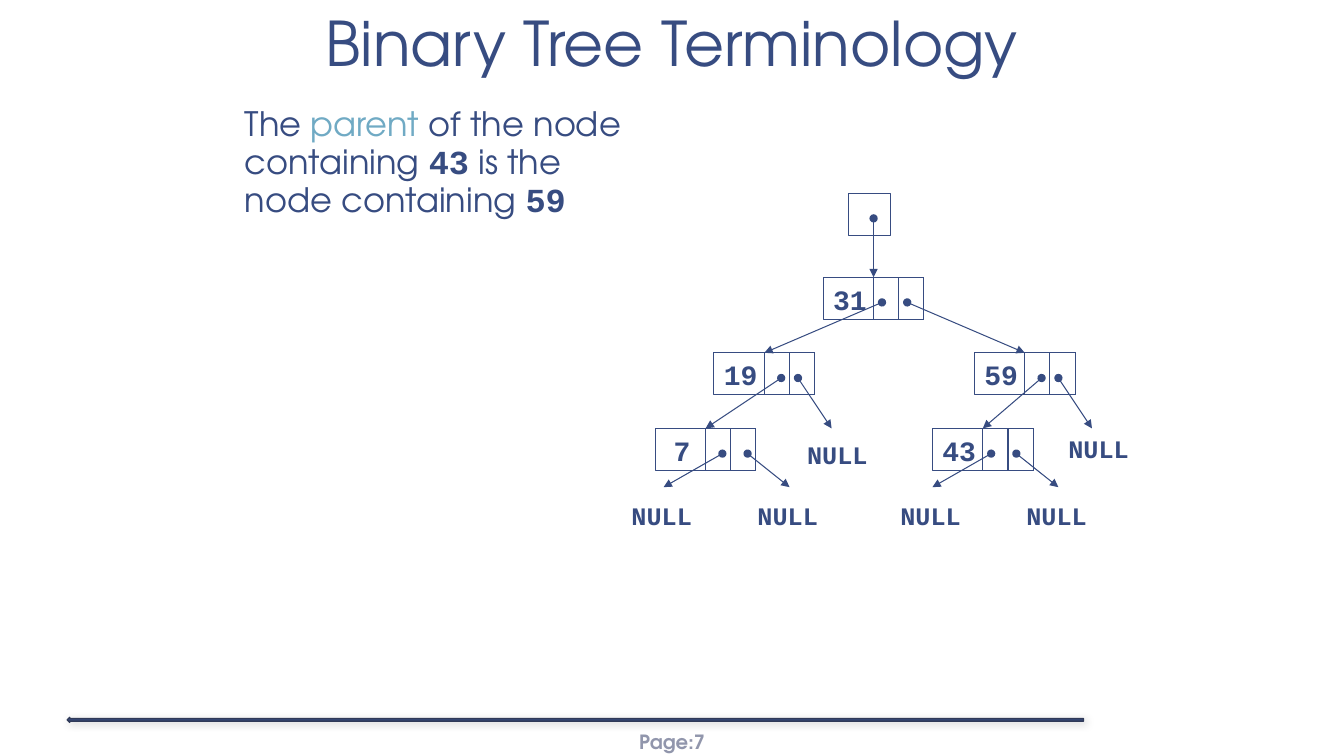
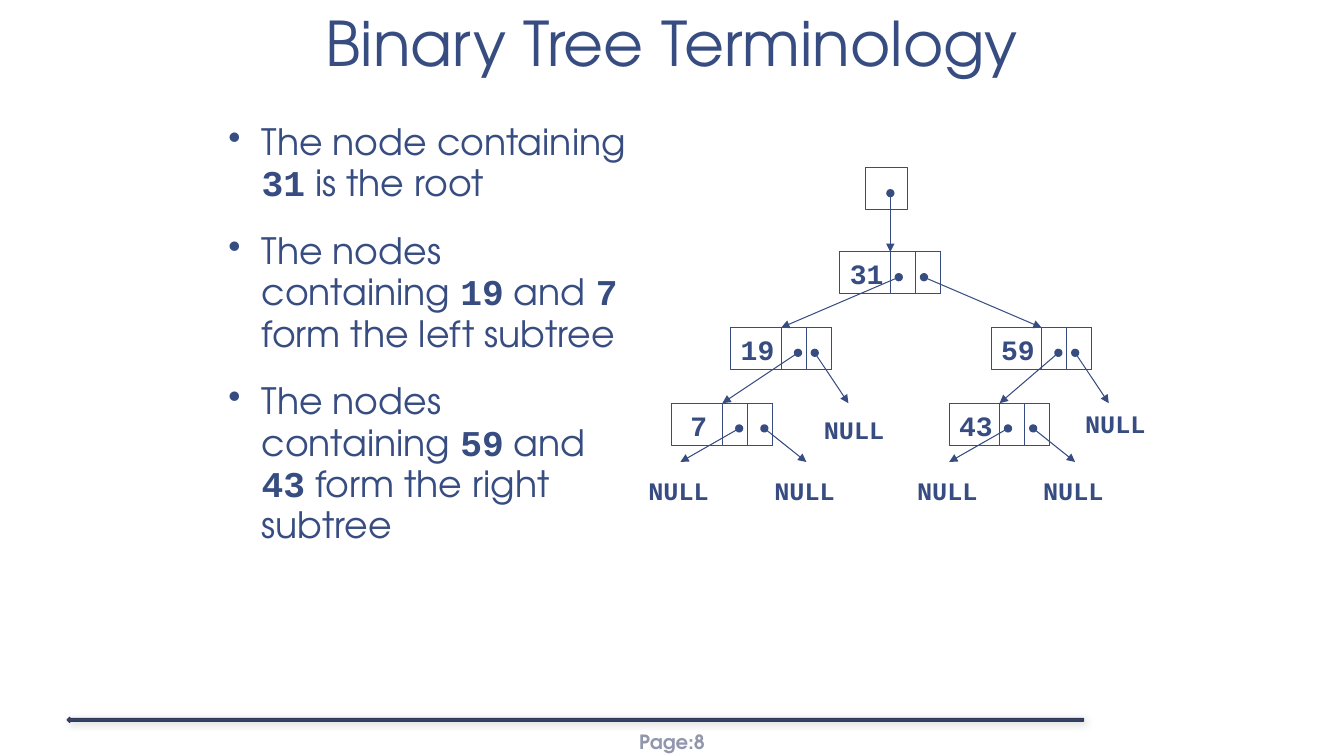
from dataclasses import dataclass

from lxml.etree import SubElement
from pptx import Presentation
from pptx.dml.color import RGBColor
from pptx.enum.shapes import MSO_CONNECTOR as Connector, MSO_SHAPE as Shape
from pptx.enum.text import MSO_ANCHOR as Anchor, MSO_AUTO_SIZE as AutoSize, PP_ALIGN as Align
from pptx.oxml.ns import qn
from pptx.util import Emu, Inches, Pt

COLUMNS, ROWS = 160, 90
CELL = Inches(1) / 12
TITLE_ONLY = 5


@dataclass(frozen=True)
class Theme:
    sans: str = "TeX Gyre Adventor"
    mono: str = "Courier New"
    ink: str = "374C81"
    accent: str = "70AAC4"
    footer: str = "9196AC"
    rule_edge: str = "303A58"
    title_size: float = 44
    key_size: float = 20
    null_size: float = 18
    footer_size: float = 14
    thin: float = 0.75


THEME = Theme()


@dataclass(frozen=True)
class Box:
    left: float
    top: float
    width: float
    height: float

    def inner(self, column, row, width=0, height=0):
        return Box(self.left + column, self.top + row, width, height)

    def lengths(self):
        return [Emu(round(n * CELL)) for n in (self.left, self.top, self.width, self.height)]


@dataclass(frozen=True)
class Run:
    text: str
    font: str = THEME.sans
    color: str = THEME.ink
    bold: bool = False


def code(text):
    return Run(text, THEME.mono, bold=True)


@dataclass(frozen=True)
class Node:
    key: str
    column: int
    row: int
    dots: tuple
    left: object
    right: object
    key_shift: int = 0


@dataclass(frozen=True)
class Null:
    tip: tuple
    label: tuple


SEVEN = Node("7", 4, 28, (8, 11), Null((5, 35), (0, 36)), Null((20, 35), (15, 36)), 1)
FORTY_THREE = Node("43", 37, 28, (7, 10), Null((37, 35), (32, 36)), Null((52, 35), (47, 36)))
NINETEEN = Node("19", 11, 19, (8, 10), SEVEN, Null((25, 28), (20.9, 28.7)))
FIFTY_NINE = Node("59", 42, 19, (8, 10), FORTY_THREE, Null((56, 28), (52, 28)))
ROOT = Node("31", 24, 10, (7, 10), NINETEEN, FIFTY_NINE)


def write(frame, paragraphs, size, align=Align.LEFT, anchor=Anchor.TOP, insets=(0.1, 0.05),
          wrap=True, grow=False, line_spacing=None, space_before=None, indent=0, bullet=None):
    frame.word_wrap = wrap
    frame.auto_size = AutoSize.SHAPE_TO_FIT_TEXT if grow else AutoSize.NONE
    frame.vertical_anchor = anchor
    frame.margin_left = frame.margin_right = Inches(insets[0])
    frame.margin_top = frame.margin_bottom = Inches(insets[1])
    for index, runs in enumerate(paragraphs):
        paragraph = frame.add_paragraph() if index else frame.paragraphs[0]
        paragraph.alignment = align
        if line_spacing:
            paragraph.line_spacing = line_spacing
        if space_before:
            paragraph.space_before = Pt(space_before)
        if indent:
            properties = paragraph._p.get_or_add_pPr()
            properties.set("marL", str(Inches(indent)))
            properties.set("indent", str(-Inches(indent) if bullet else 0))
            if bullet:
                SubElement(properties, qn("a:buChar"), char=bullet)
        for piece in runs:
            run = paragraph.add_run()
            run.text = piece.text
            run.font.name = piece.font
            run.font.size = Pt(size)
            run.font.bold = piece.bold
            run.font.color.rgb = RGBColor.from_string(piece.color)


def add_text(slide, box, paragraphs, size, **format):
    write(slide.shapes.add_textbox(*box.lengths()).text_frame, paragraphs, size, **format)


def add_label(slide, box, text, size):
    add_text(slide, box, [[code(text)]], size, wrap=False, grow=True)


def add_shape(slide, kind, box, fill=None, line=THEME.ink, weight=THEME.thin):
    shape = slide.shapes.add_shape(kind, *box.lengths())
    shape.shadow.inherit = False
    if fill:
        shape.fill.solid()
        shape.fill.fore_color.rgb = RGBColor.from_string(fill)
    else:
        shape.fill.background()
    shape.line.color.rgb = RGBColor.from_string(line)
    shape.line.width = Pt(weight)
    return shape


def add_pointer(slide, start, end, target=None):
    points = start.lengths()[:2] + end.lengths()[:2]
    connector = slide.shapes.add_connector(Connector.STRAIGHT, *points)
    if target is not None:
        connector.end_connect(target, 0)
    connector.line.color.rgb = RGBColor.from_string(THEME.ink)
    connector.line.width = Pt(THEME.thin)
    properties = connector.element.spPr
    line = properties.find(qn("a:ln"))
    SubElement(line, qn("a:headEnd"), type="oval")
    SubElement(line, qn("a:tailEnd"), type="triangle")
    SubElement(properties, qn("a:effectLst"))


def add_node(slide, tree, node):
    place = tree.inner(node.column, node.row, 12, 5)
    frame = add_shape(slide, Shape.RECTANGLE, place)
    for column in (6, 9):
        add_shape(slide, Shape.RECTANGLE, place.inner(column, 0, 3, 5))
    key_width = 2.4 + 2 * len(node.key)
    add_label(slide, place.inner(node.key_shift, 0, key_width, 5.2), node.key, THEME.key_size)
    for dot, child in zip(node.dots, (node.left, node.right)):
        start = place.inner(dot, 3)
        if isinstance(child, Null):
            add_pointer(slide, start, tree.inner(*child.tip))
            add_label(slide, tree.inner(*child.label, 9.6, 4.8), "NULL", THEME.null_size)
        else:
            target = add_node(slide, tree, child)
            add_pointer(slide, start, tree.inner(child.column + 6, child.row), target)
    return frame


def add_tree(slide, tree):
    add_shape(slide, Shape.RECTANGLE, tree.inner(27, 0, 5, 5))
    root = add_node(slide, tree, ROOT)
    add_pointer(slide, tree.inner(30, 3), tree.inner(30, 10), root)


def add_footer(slide, box, number):
    rule = add_shape(slide, Shape.LEFT_ARROW, box.inner(8, 0, 121, 0.6),
                     fill=THEME.ink, line=THEME.rule_edge, weight=1)
    effects = rule.element.spPr.find(qn("a:effectLst"))
    shadow = SubElement(effects, qn("a:outerShdw"), blurRad=str(Pt(6)), dist=str(Pt(1)),
                        dir="2700000", algn="tl", rotWithShape="0")
    color = SubElement(shadow, qn("a:srgbClr"), val="000000")
    SubElement(color, qn("a:alpha"), val="20000")
    add_text(slide, box.inner(69.4, 0.5, 21.2, 4.8),
             [[Run(f"Page:{number}", color=THEME.footer, bold=True)]], THEME.footer_size,
             align=Align.CENTER, anchor=Anchor.MIDDLE, insets=(0.04, 0.02))


def add_title(slide, box, text):
    title = slide.shapes.title
    title.left, title.top, title.width, title.height = box.lengths()
    write(title.text_frame, [[Run(text)]], THEME.title_size, align=Align.CENTER,
          anchor=Anchor.BOTTOM, insets=(0.13, 0.07), line_spacing=0.85)


def add_tree_slide(presentation, number, body, paragraphs, size, tree, bullet=None):
    slide = presentation.slides.add_slide(presentation.slide_layouts[TITLE_ONLY])
    add_footer(slide, Box(0, 85.4, COLUMNS, 4.6), number)
    add_title(slide, Box(0, 0, COLUMNS, 10.3), "Binary Tree Terminology")
    add_text(slide, body, paragraphs, size, line_spacing=0.95, space_before=18.7,
             indent=0.33, bullet=bullet)
    add_tree(slide, tree)


def main():
    presentation = Presentation()
    presentation.slide_width = Emu(round(COLUMNS * CELL))
    presentation.slide_height = Emu(round(ROWS * CELL))
    parent = [[Run("The "), Run("parent", color=THEME.accent), Run(" of the node containing "),
               code("43"), Run(" is the node containing "), code("59")]]
    subtrees = [[Run("The nodes containing "), code(first), Run(" and "), code(second),
                 Run(f" form the {side} subtree")]
                for first, second, side in (("19", "7", "left"), ("59", "43", "right"))]
    root = [Run("The node containing "), code("31"), Run(" is the root")]
    add_tree_slide(presentation, 7, Box(24, 12, 54.5, 60), parent, 24, Box(74, 23, 62, 41))
    add_tree_slide(presentation, 8, Box(26, 14, 51, 54), [root, *subtrees], 25.9,
                   Box(76, 20, 62, 41), bullet="•")
    presentation.save("out.pptx")


if __name__ == "__main__":
    main()
